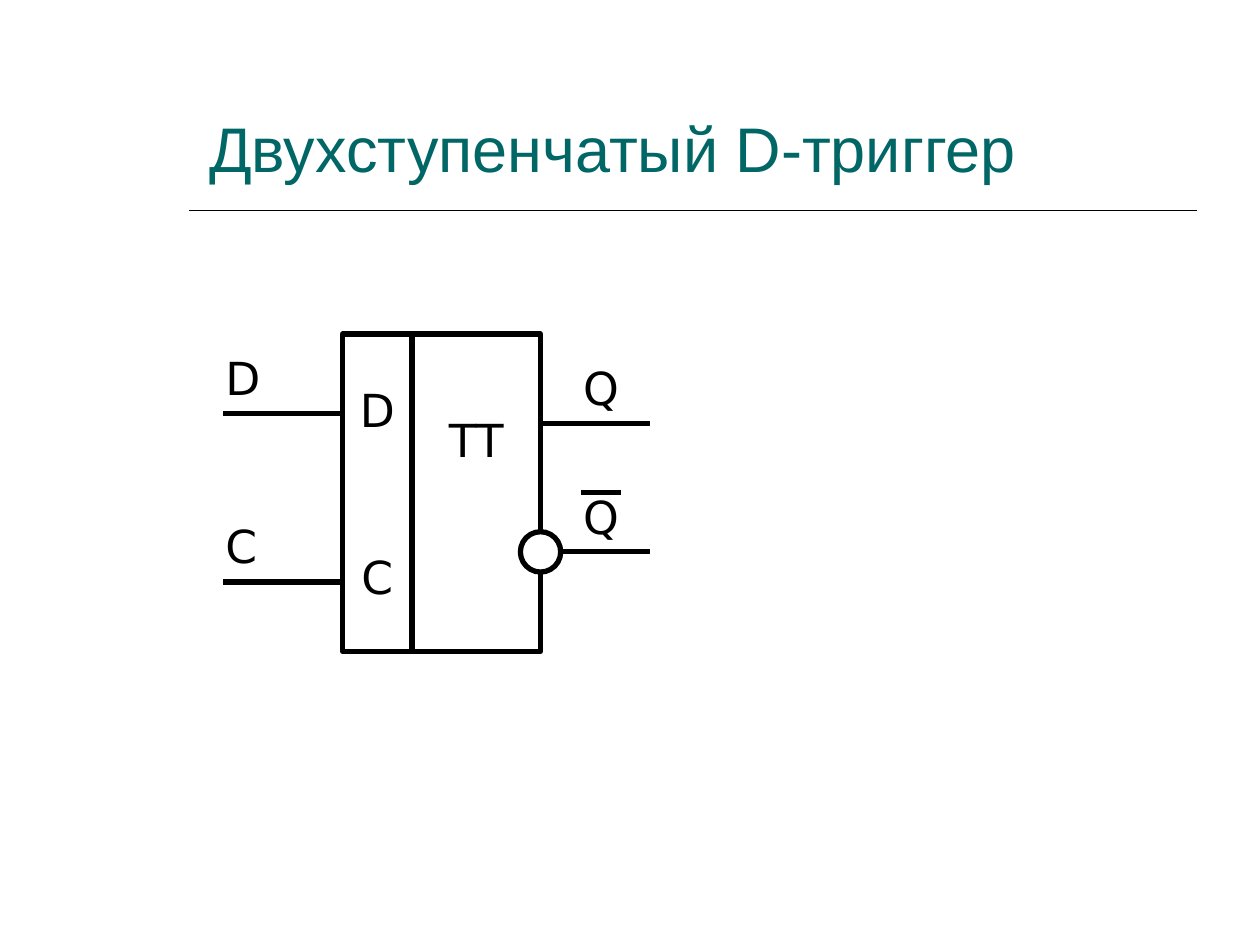
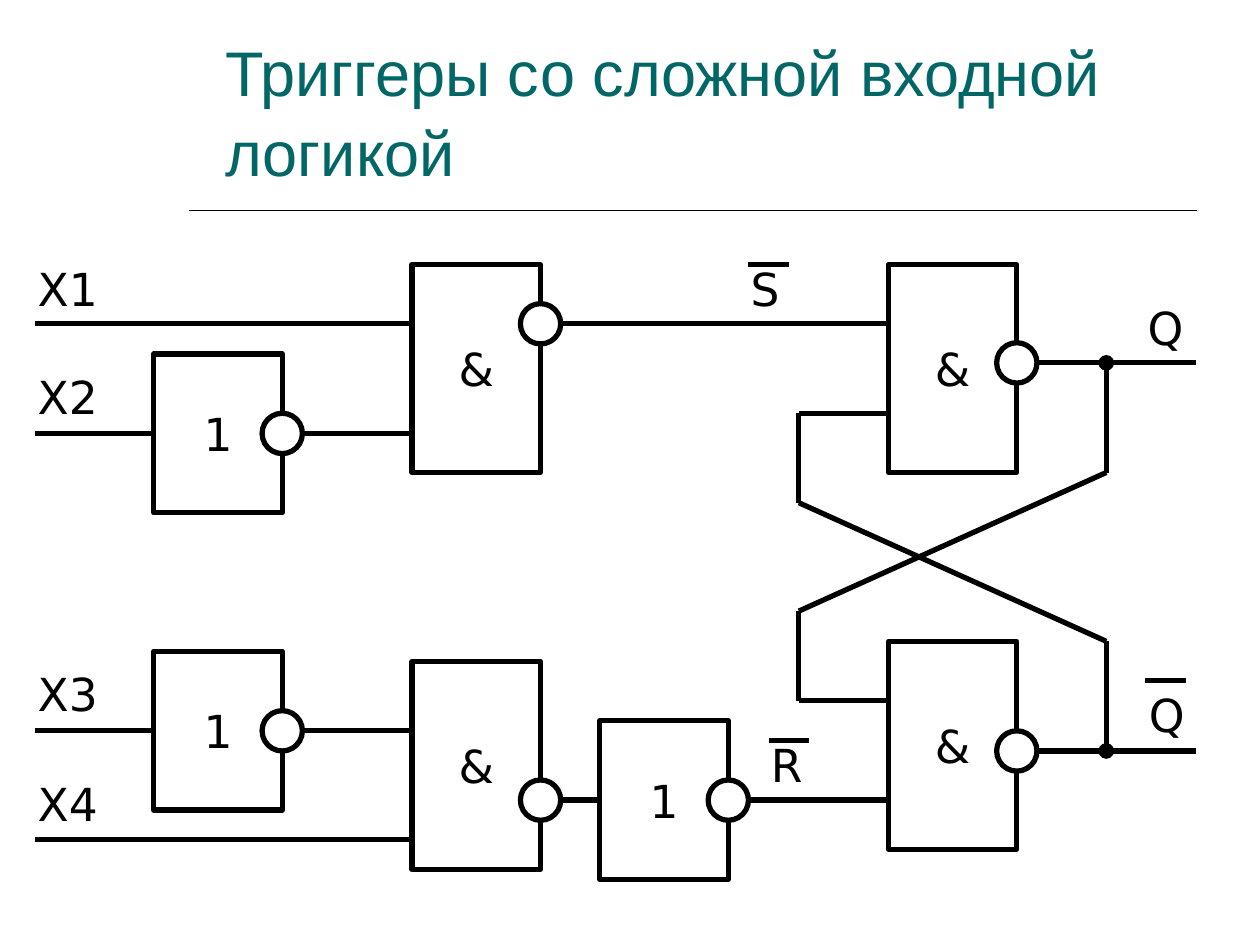
import collections

import lxml.etree
import pptx
import pptx.dml.color
import pptx.enum.shapes
import pptx.enum.text
import pptx.oxml.ns
import pptx.util

Inches = pptx.util.Inches
Pt = pptx.util.Pt
RGBColor = pptx.dml.color.RGBColor
Shapes = pptx.enum.shapes.MSO_SHAPE
Anchor = pptx.enum.text.MSO_ANCHOR
Align = pptx.enum.text.PP_ALIGN
qn = pptx.oxml.ns.qn

COLORS = {"title": "006666", "ink": "000000", "paper": "FFFFFF"}
GATE_WIDTH = 1.02
BUBBLE = 0.32
RULE_Y = 1.67

Gate = collections.namedtuple(
    "Gate", "left top height text bubble_y width gap lift",
    defaults=(None, GATE_WIDTH, 0, 0))


def write_text(frame, text, font="DejaVu Sans", size=26, color="ink",
               align=Align.LEFT, anchor=Anchor.TOP, wrap=True, gap=0, spacing=1.0):
    frame.auto_size = pptx.enum.text.MSO_AUTO_SIZE.NONE
    frame.word_wrap = wrap
    frame.vertical_anchor = anchor
    frame.text = text
    for index, paragraph in enumerate(frame.paragraphs):
        paragraph.alignment = align
        paragraph.line_spacing = spacing
        paragraph.space_before = Pt(gap if index else 0)
        paragraph.font.name = font
        paragraph.font.size = Pt(size)
        paragraph.font.color.rgb = RGBColor.from_string(COLORS[color])


def draw_line(slide, start_x, start_y, end_x, end_y, width=3, dot=False):
    line = slide.shapes.add_connector(
        pptx.enum.shapes.MSO_CONNECTOR.STRAIGHT,
        Inches(start_x), Inches(start_y), Inches(end_x), Inches(end_y))
    line.line.color.rgb = RGBColor.from_string(COLORS["ink"])
    line.line.width = Pt(width)
    properties = line._element.spPr
    if dot:
        outline = properties.find(qn("a:ln"))
        lxml.etree.SubElement(outline, qn("a:headEnd"), type="oval")
    lxml.etree.SubElement(properties, qn("a:effectLst"))


two_stage_trigger = {
    "title": ("Двухступенчатый D-триггер", 1.56, 0.39, 7.88, 1.13),
    "wires": [
        (1.77, 3.28, 2.72, 3.28),
        (1.77, 4.62, 2.72, 4.62),
        (4.29, 3.36, 5.16, 3.36),
        (4.29, 4.38, 5.16, 4.38),
    ],
    "nodes": [],
    "gates": [
        Gate(2.72, 2.65, 2.52, "D\nC", width=0.55, gap=64),
        Gate(3.27, 2.65, 2.52, "TT", 4.38, lift=0.84),
    ],
    "labels": [("D", 1.69, 2.73), ("C", 1.69, 4.06), ("Q", 4.53, 2.81), ("Q", 4.53, 3.83)],
    "overlines": [(4.61, 3.91)],
}

complex_input_trigger = {
    "title": ("Триггеры со сложной входной логикой", 1.69, 0.08, 7.84, 1.47),
    "wires": [
        (0.28, 2.57, 3.27, 2.57),
        (0.28, 3.44, 1.22, 3.44),
        (2.4, 3.44, 3.27, 3.44),
        (0.28, 5.8, 1.22, 5.8),
        (2.4, 5.8, 3.27, 5.8),
        (0.28, 6.66, 3.27, 6.66),
        (4.45, 2.57, 7.05, 2.57),
        (4.45, 6.35, 4.76, 6.35),
        (5.94, 6.35, 7.05, 6.35),
        (8.07, 2.88, 9.49, 2.88),
        (8.07, 5.96, 9.49, 5.96),
        (6.34, 3.28, 7.05, 3.28),
        (6.34, 3.28, 6.34, 3.99),
        (6.34, 3.99, 8.78, 5.09),
        (6.34, 5.56, 7.05, 5.56),
        (6.34, 4.85, 6.34, 5.56),
        (6.34, 4.85, 8.78, 3.75),
    ],
    "nodes": [(8.78, 2.88, 8.78, 3.75), (8.78, 5.96, 8.78, 5.09)],
    "gates": [
        Gate(1.22, 2.81, 1.26, "1", 3.44),
        Gate(1.22, 5.17, 1.26, "1", 5.8),
        Gate(3.27, 2.1, 1.65, "&", 2.57),
        Gate(3.27, 5.25, 1.65, "&", 6.35),
        Gate(4.76, 5.72, 1.26, "1", 6.35),
        Gate(7.05, 2.1, 1.65, "&", 2.88),
        Gate(7.05, 5.09, 1.65, "&", 5.96),
    ],
    "labels": [
        ("X1", 0.2, 2.02), ("X2", 0.2, 2.88), ("X3", 0.2, 5.24), ("X4", 0.2, 6.11),
        ("S", 5.86, 2.02), ("R", 6.02, 5.8), ("Q", 9.01, 2.33), ("Q", 9.02, 5.4),
    ],
    "overlines": [(5.94, 2.1), (6.1, 5.88), (9.09, 5.4)],
}

presentation = pptx.Presentation()
presentation.slide_width = Inches(10)
presentation.slide_height = Inches(7.5)
title_only = presentation.slide_layouts[5]

for circuit in (two_stage_trigger, complex_input_trigger):
    slide = presentation.slides.add_slide(title_only)
    slide.background.fill.solid()
    slide.background.fill.fore_color.rgb = RGBColor.from_string(COLORS["paper"])

    title_text, left, top, width, height = circuit["title"]
    title = slide.shapes.title
    title.left, title.top = Inches(left), Inches(top)
    title.width, title.height = Inches(width), Inches(height)
    write_text(title.text_frame, title_text, font="Arial", size=36, color="title",
               anchor=Anchor.BOTTOM, spacing=1.05)
    draw_line(slide, 1.5, RULE_Y, 9.5, RULE_Y, width=1)

    for wire in circuit["wires"]:
        draw_line(slide, *wire)
    for node in circuit["nodes"]:
        draw_line(slide, *node, dot=True)

    for gate in circuit["gates"]:
        outlines = [(Shapes.RECTANGLE, gate.left, gate.top, gate.width, gate.height, gate.text)]
        if gate.bubble_y is not None:
            outlines.append((Shapes.OVAL, gate.left + gate.width - BUBBLE / 2,
                             gate.bubble_y - BUBBLE / 2, BUBBLE, BUBBLE, ""))
        for kind, left, top, width, height, text in outlines:
            shape = slide.shapes.add_shape(
                kind, Inches(left), Inches(top), Inches(width), Inches(height))
            shape.shadow.inherit = False
            shape.fill.solid()
            shape.fill.fore_color.rgb = RGBColor.from_string(COLORS["paper"])
            shape.line.color.rgb = RGBColor.from_string(COLORS["ink"])
            shape.line.width = Pt(3)
            if text:
                shape.text_frame.margin_bottom = Inches(0.05 + gate.lift)
                write_text(shape.text_frame, text, align=Align.CENTER,
                           anchor=Anchor.MIDDLE, wrap=False, gap=gate.gap)

    for text, left, top in circuit["labels"]:
        label = slide.shapes.add_textbox(Inches(left), Inches(top), Inches(0.71), Inches(0.54))
        write_text(label.text_frame, text)
    for left, y in circuit["overlines"]:
        draw_line(slide, left, y, left + 0.32, y)

presentation.save("out.pptx")
